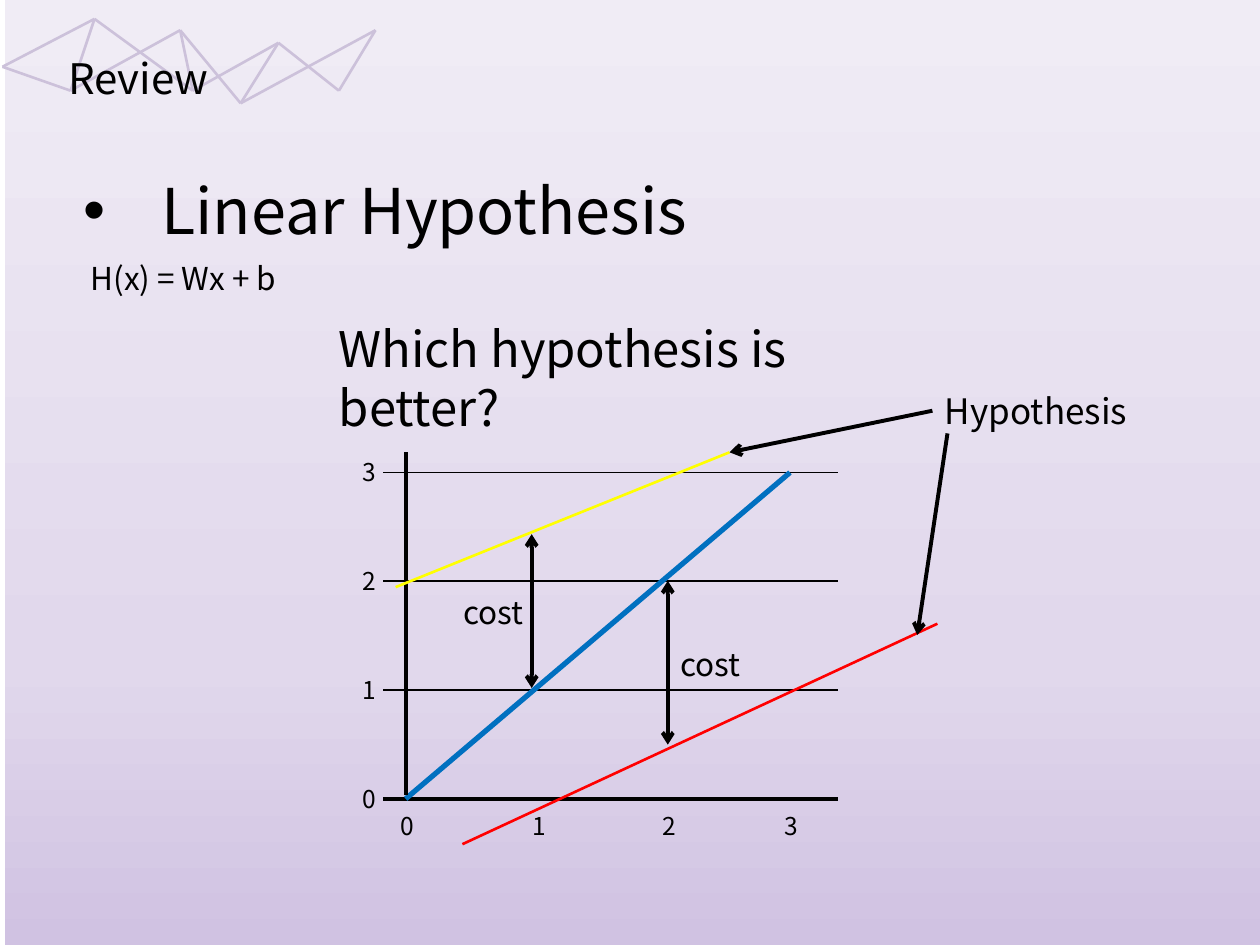
from copy import deepcopy
from dataclasses import dataclass

from lxml import etree
from pptx import Presentation
from pptx.dml.color import RGBColor
from pptx.enum import shapes, text
from pptx.oxml.ns import qn
from pptx.util import Inches, Pt

FONT = "Noto Sans CJK KR"
COLORS = {
    "ink": "000000",
    "net": "CCC1DA",
    "data": "0070C0",
    "upper": "FFFF00",
    "lower": "FF0000",
    "bottom": "D0C2E2",
    "middle": "E1D8EC",
    "top": "F0ECF5",
}


@dataclass
class Line:
    start: tuple[float, float]
    end: tuple[float, float]
    color: str = "ink"
    width: float = 2.25
    head: bool = False
    tail: bool = False


@dataclass
class Label:
    words: str
    left: float
    top: float
    width: float
    height: float
    size: float


def rgb(name: str) -> RGBColor:
    return RGBColor.from_string(COLORS[name])


def draw_line(parent, line: Line):
    ends = [Inches(v) for v in (*line.start, *line.end)]
    cxn = parent.add_connector(shapes.MSO_CONNECTOR.STRAIGHT, *ends)
    cxn.line.color.rgb = rgb(line.color)
    cxn.line.width = Pt(line.width)
    ln = cxn.line._get_or_add_ln()
    for tag, wanted in (("a:headEnd", line.head), ("a:tailEnd", line.tail)):
        if wanted:
            etree.SubElement(ln, qn(tag), type="arrow")
    etree.SubElement(cxn._element.spPr, qn("a:effectLst"))
    return cxn


def fill_label(sp, label: Label):
    """Place a text shape or placeholder and write one paragraph in it."""
    sp.left, sp.top = Inches(label.left), Inches(label.top)
    sp.width, sp.height = Inches(label.width), Inches(label.height)
    tf = sp.text_frame
    tf.word_wrap = True
    tf.auto_size = text.MSO_AUTO_SIZE.NONE
    tf.vertical_anchor = text.MSO_ANCHOR.TOP
    p = tf.paragraphs[0]
    p.text = label.words
    p.alignment = text.PP_ALIGN.LEFT
    p.space_before = Pt(0)
    p.font.name = FONT
    p.font.size = Pt(label.size)
    p.font.color.rgb = rgb("ink")
    return p


def draw_label(slide, label: Label):
    sp = slide.shapes.add_textbox(0, 0, 0, 0)
    fill_label(sp, label)
    return sp


def draw_backdrop(slide):
    sp = slide.shapes.add_shape(shapes.MSO_SHAPE.RECTANGLE, Inches(0.04), 0,
                                Inches(9.96), Inches(7.5))
    sp.shadow.inherit = False
    sp.line.fill.background()
    sp.fill.gradient()
    sp.fill.gradient_angle = 90
    first = sp._element.spPr.find(".//" + qn("a:gs"))
    first.addnext(deepcopy(first))
    names = (("bottom", 0), ("middle", 0.3), ("top", 1))
    for stop, (name, position) in zip(sp.fill.gradient_stops, names):
        stop.color.rgb = rgb(name)
        stop.position = position


def draw_net(slide):
    nodes = {
        "A": (0.02, 0.53), "B": (0.75, 0.15), "C": (1.53, 0.72),
        "D": (2.21, 0.34), "E": (1.43, 0.24), "F": (0.56, 0.72),
        "G": (2.69, 0.72), "H": (1.91, 0.82), "I": (2.98, 0.24),
    }
    group = slide.shapes.add_group_shape()
    for a, b in "AB BC CD EC BF DG DH GI HI EF EH AF".split():
        draw_line(group.shapes, Line(nodes[a], nodes[b], "net", 1.5))


def draw_headings(slide):
    title, body = slide.placeholders
    for sp in (title, body):  # bring in front of the backdrop
        slide.shapes._spTree.append(sp._element)
    fill_label(title, Label("Review", 0.44, 0.37, 2.08, 0.5, 24))
    p = fill_label(body, Label("Linear Hypothesis", 0.56, 1.31, 6.67, 0.71, 36))
    pPr = p._p.get_or_add_pPr()
    pPr.set("marL", str(Inches(0.62)))
    pPr.set("indent", str(-Inches(0.62)))
    draw_label(slide, Label("Which hypothesis is better?", 2.59, 2.48, 4.81, 0.57, 28))
    draw_label(slide, Label("H(x) = Wx + b", 0.62, 2.01, 1.8, 0.4, 18))


def draw_axes(slide):
    origin_y, step = 6.34, 0.864
    for tick, x in enumerate((3.08, 4.13, 5.16, 6.13)):
        y = origin_y - tick * step
        draw_line(slide.shapes, Line((3.04, y), (6.65, y), width=0.75 if tick else 2.25))
        draw_label(slide, Label(str(tick), 2.78, y - 0.17, 0.35, 0.34, 14))
        draw_label(slide, Label(str(tick), x, 6.39, 0.35, 0.34, 14))


def draw_graph(slide):
    draw_axes(slide)
    for line in (
        Line((3.22, 6.34), (6.27, 3.75), "data", 3),
        Line((3.22, 6.31), (3.22, 3.59)),
        Line((3.14, 4.66), (5.79, 3.59), "upper", 1.5),
        Line((3.67, 6.7), (7.44, 4.95), "lower", 1.5),
        Line((7.52, 3.44), (7.28, 5.04), tail=True),
        Line((4.22, 4.24), (4.22, 5.46), head=True, tail=True),
        Line((5.3, 4.61), (5.3, 5.91), head=True, tail=True),
    ):
        draw_line(slide.shapes, line)
    pointer = draw_line(slide.shapes, Line((7.4, 3.28), (5.79, 3.59), tail=True))
    hypothesis = draw_label(slide, Label("Hypothesis", 7.4, 3.04, 1.77, 0.44, 20))
    pointer.begin_connect(hypothesis, 1)
    for left, top in ((3.58, 4.66), (5.3, 5.07)):
        draw_label(slide, Label("cost", left, top, 0.72, 0.41, 18))


def main():
    prs = Presentation()
    prs.slide_width, prs.slide_height = Inches(10), Inches(7.5)
    slide = prs.slides.add_slide(prs.slide_layouts[1])
    draw_backdrop(slide)
    draw_net(slide)
    draw_headings(slide)
    draw_graph(slide)
    prs.save("out.pptx")


if __name__ == "__main__":
    main()
